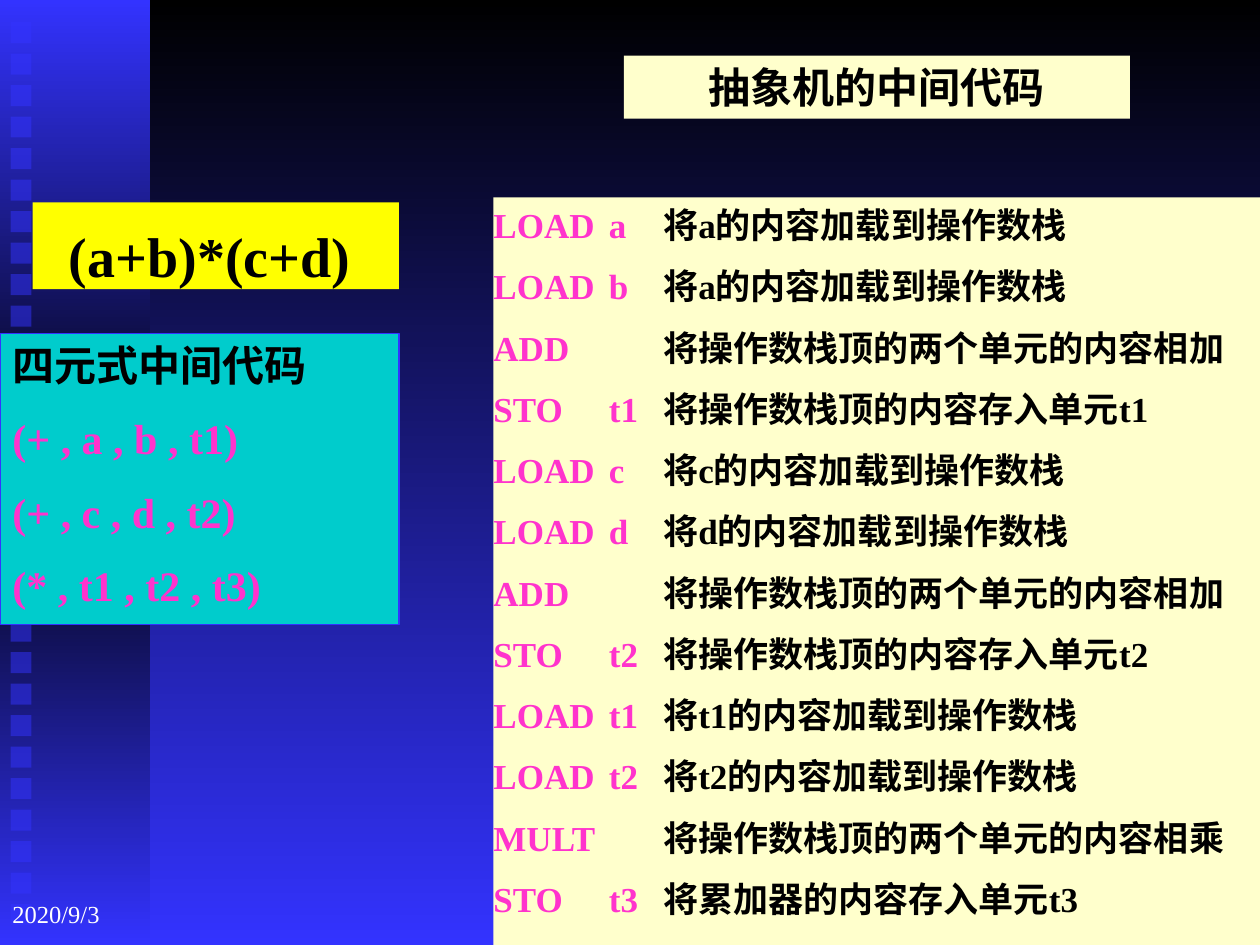
from copy import deepcopy

from lxml.etree import SubElement
from pptx import Presentation
from pptx.dml.color import RGBColor
from pptx.enum.shapes import MSO_SHAPE
from pptx.enum.text import MSO_ANCHOR, PP_ALIGN
from pptx.oxml.ns import qn
from pptx.util import Pt

COLORS = {
    "black": "000000", "blue": "3333FF", "white": "FFFFFF", "teal": "00CCCC",
    "pink": "FF33CC", "cream": "FFFFCC", "yellow": "FFFF00",
}


def add_box(x, y, w, h, color, inset=7.2):
    sp = s.shapes.add_shape(MSO_SHAPE.RECTANGLE, Pt(x), Pt(y), Pt(w), Pt(h))
    sp.shadow.inherit = False
    sp.line.fill.background()
    sp.fill.solid()
    sp.fill.fore_color.rgb = RGBColor.from_string(COLORS[color])
    tf = sp.text_frame
    tf.word_wrap = True
    tf.vertical_anchor = MSO_ANCHOR.TOP
    tf.margin_left = tf.margin_right = Pt(inset)
    tf.paragraphs[0].alignment = PP_ALIGN.LEFT
    return sp


def add_run(p, text, size, color, bold=True):
    r = p.add_run()
    r.text = text
    r.font.name = "Times New Roman"
    r.font.size = Pt(size)
    r.font.bold = bold
    r.font.color.rgb = RGBColor.from_string(COLORS[color])


prs = Presentation()
prs.slide_width, prs.slide_height = Pt(720), Pt(540)
s = prs.slides.add_slide(prs.slide_layouts[6])

sidebar = add_box(0, 0, 85.7, 540, "blue")
sidebar.fill.gradient()
gs_lst = sidebar._element.spPr.find(".//" + qn("a:gsLst"))
gs_lst.append(deepcopy(gs_lst[0]))
bg = s.background.fill
bg.gradient()
for fill, names in ((bg, ["black", "blue"]),
                    (sidebar.fill, ["blue", "black", "blue"])):
    fill.gradient_angle = 270
    for i, (stop, name) in enumerate(zip(fill.gradient_stops, names)):
        stop.position = i / (len(names) - 1)
        stop.color.rgb = RGBColor.from_string(COLORS[name])

for i in range(29):
    if 10 <= i <= 18:
        continue
    sp = add_box(6, 12.6 + 18 * i, 12, 12, "blue")
    clr = sp._element.spPr.find(".//" + qn("a:srgbClr"))
    SubElement(clr, qn("a:alpha")).set("val", "50000")

tf = s.shapes.add_textbox(Pt(0), Pt(504), Pt(150), Pt(36)).text_frame
tf.word_wrap = True
tf.vertical_anchor = MSO_ANCHOR.MIDDLE
add_run(tf.paragraphs[0], "2020/9/3", 14, "white", False)

sp = add_box(0, 190.6, 228, 166.3, "teal")
sp.line.color.rgb = RGBColor.from_string(COLORS["blue"])
sp.line.width = Pt(0.75)
tf = sp.text_frame
add_run(tf.paragraphs[0], "四元式中间代码", 24, "black")
for quad in ("(+ , a , b , t1)", "(+ , c , d , t2)", "(* , t1 , t2 , t3)"):
    p = tf.add_paragraph()
    p.alignment = PP_ALIGN.LEFT
    p.space_before = Pt(13)
    add_run(p, quad, 24, "pink")

instructions = [
    ("LOAD", "a", "将a的内容加载到操作数栈"),
    ("LOAD", "b", "将a的内容加载到操作数栈"),
    ("ADD", "", "将操作数栈顶的两个单元的内容相加"),
    ("STO", "t1", "将操作数栈顶的内容存入单元t1"),
    ("LOAD", "c", "将c的内容加载到操作数栈"),
    ("LOAD", "d", "将d的内容加载到操作数栈"),
    ("ADD", "", "将操作数栈顶的两个单元的内容相加"),
    ("STO", "t2", "将操作数栈顶的内容存入单元t2"),
    ("LOAD", "t1", "将t1的内容加载到操作数栈"),
    ("LOAD", "t2", "将t2的内容加载到操作数栈"),
    ("MULT", "", "将操作数栈顶的两个单元的内容相乘"),
    ("STO", "t3", "将累加器的内容存入单元t3"),
]
tf = add_box(282, 112.8, 438, 427.2, "cream", 0).text_frame
for i, (opcode, operand, meaning) in enumerate(instructions):
    p = tf.add_paragraph() if i else tf.paragraphs[0]
    p.alignment = PP_ALIGN.LEFT
    p.space_before = Pt(11 if i else 0)
    tabs = SubElement(p._p.get_or_add_pPr(), qn("a:tabLst"))
    for pos in (66, 97):
        tab = SubElement(tabs, qn("a:tab"))
        tab.set("pos", str(Pt(pos)))
        tab.set("algn", "l")
    add_run(p, f"{opcode}\t{operand}\t", 20, "pink")
    add_run(p, meaning, 20, "black")

p = add_box(356.5, 31.8, 289.2, 36, "cream").text_frame.paragraphs[0]
p.alignment = PP_ALIGN.CENTER
add_run(p, "抽象机的中间代码", 24, "black")

tf = add_box(18.7, 115.6, 209.3, 49.7, "yellow").text_frame
tf.margin_top = Pt(7)
p = tf.paragraphs[0]
p.line_spacing = 1.1
pPr = p._p.get_or_add_pPr()
pPr.set("marL", str(Pt(36)))
pPr.set("indent", str(Pt(-22.5)))
add_run(p, "(a+b)*(c+d)", 32, "black")

prs.save("out.pptx")
